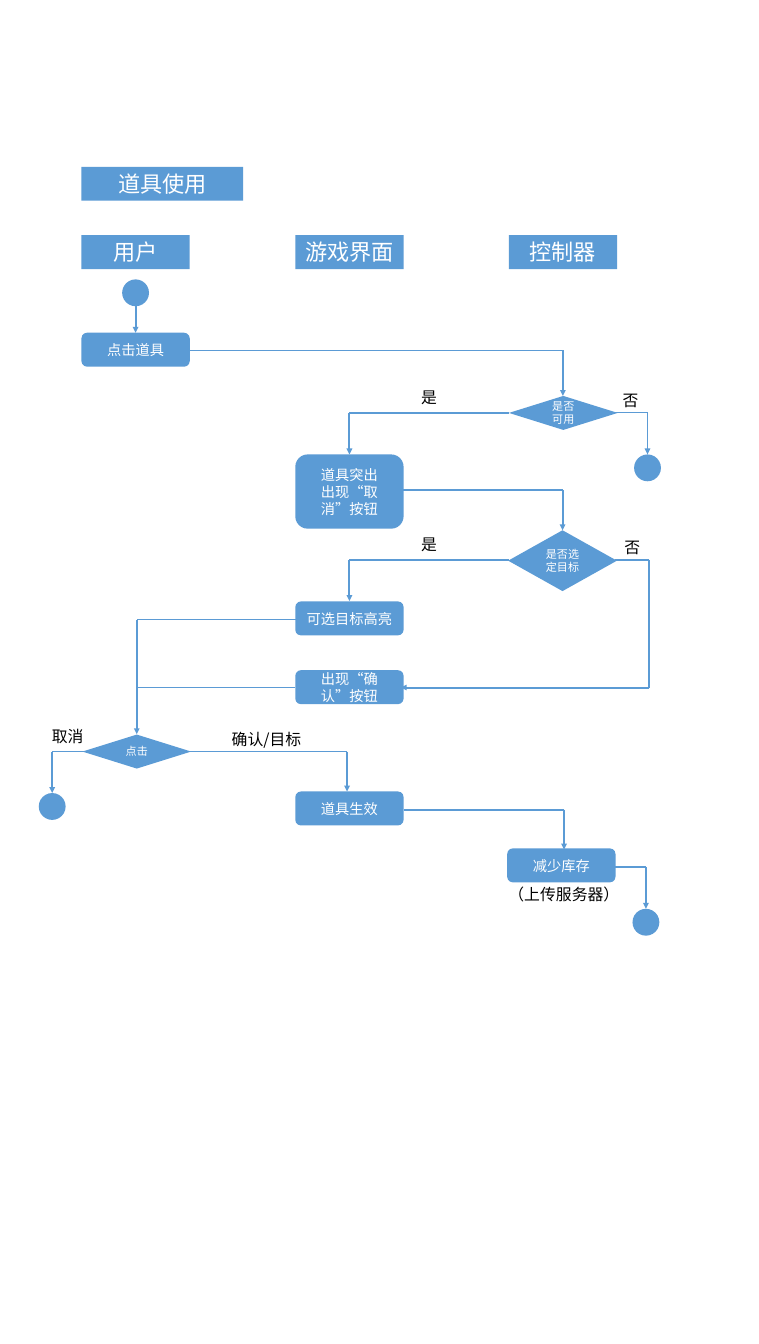
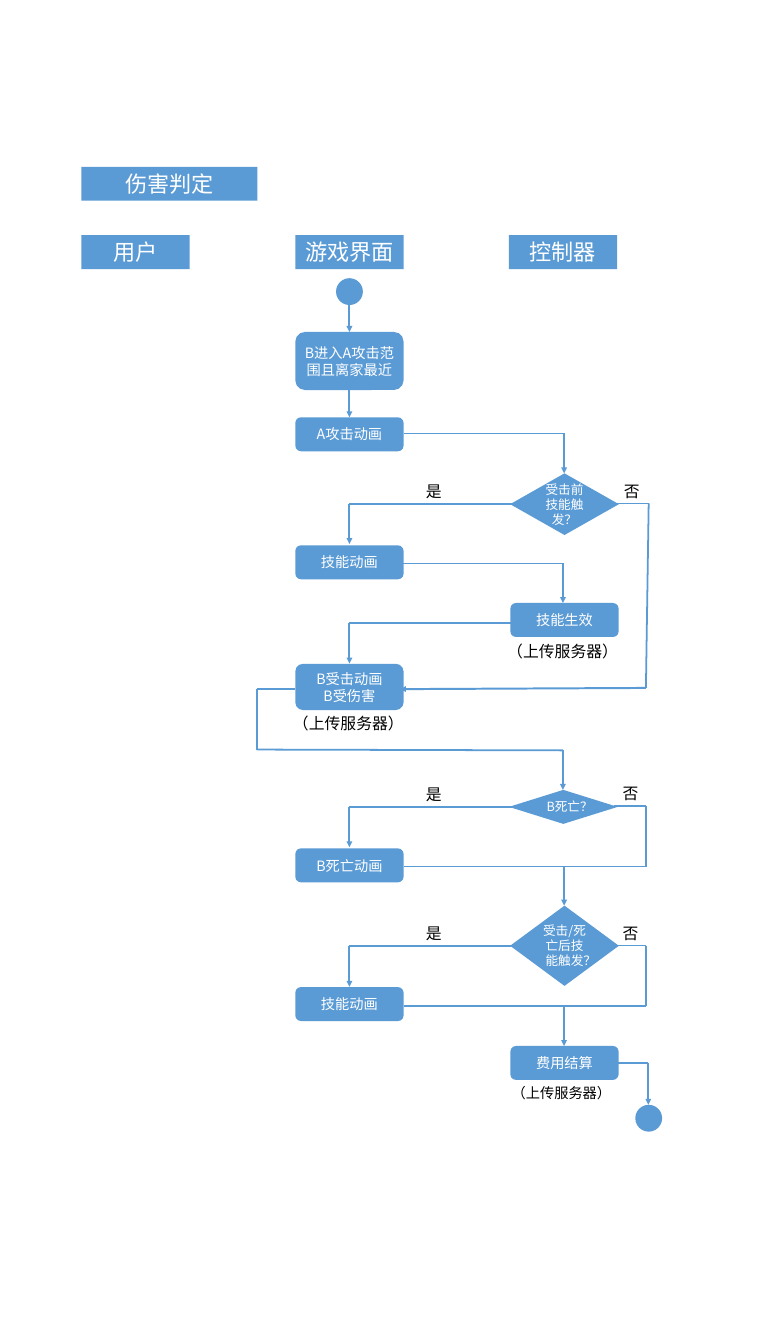
import itertools

import pptx
import pptx.dml.color
import pptx.enum.shapes
import pptx.enum.text
import pptx.oxml.ns
import pptx.util
from lxml import etree

# ---- Shared look (lengths in points) ----
COLORS = {"blue": "5B9BD5", "white": "FFFFFF", "black": "000000"}
FONT = "Noto Sans CJK SC"
SLIDE_W, SLIDE_H = 960, 1700.64
USER, SCREEN, CONTROL = 171.5, 442, 712  # lane centres
LANES = [(USER, "用户"), (SCREEN, "游戏界面"), (CONTROL, "控制器")]
LEFT, TITLE_TOP, LANE_TOP = 103, 211, 297.5
NODE_W, NODE_H, DIAMOND_W, DOT = 137, 43, 137.5, 34
HEAD_SIZE, BOX_SIZE, LABEL_SIZE = 28, 18, 20
LINE_W, ARROW_W = 2.25, 2.5

# ---- Content ----
# dots: centre x, top
# boxes: centre x, top, height, paragraphs
# diamonds: centre x, top, height, paragraphs
# arrows: corner points, with the head at the last one; lines: the same, no head
# labels: left, top, text, size
SLIDES = [
    {
        "title": "道具使用",
        "title_width": 204.5,
        "decision_size": 14,
        "dots": [(USER, 353.5), (819, 575), (66, 1003.5), (817, 1150)],
        "boxes": [
            (USER, 421, NODE_H, ["点击道具"]),
            (SCREEN, 575, 94, ["道具突出", "出现“取消”按钮"]),
            (SCREEN, 761, NODE_H, ["可选目标高亮"]),
            (SCREEN, 848, NODE_H, ["出现“确认”按钮"]),
            (SCREEN, 1001.5, NODE_H, ["道具生效"]),
            (710, 1073.5, NODE_H, ["减少库存"]),
        ],
        "diamonds": [
            (712.5, 501, NODE_H, ["是否", "可用"]),
            (711.5, 671, 77, ["是否选定目标"]),
            (173, 929.5, NODE_H, ["点击"]),
        ],
        "arrows": [
            [(USER, 387.5), (USER, 421)],
            [(240, 443.5), (712, 443.5), (712, 501)],
            [(644, 523), (SCREEN, 523), (SCREEN, 575)],
            [(776, 522), (819, 522), (819, 575)],
            [(508, 620.5), (711.5, 620.5), (711.5, 671)],
            [(644, 709), (SCREEN, 709), (SCREEN, 760.5)],
            [(778, 708.5), (821, 708.5), (821, 870), (507, 870)],
            [(374, 784), (173, 784), (173, 929)],
            [(107, 951), (66, 951), (66, 1003.5)],
            [(238, 951), (439, 951), (439, 1001.5)],
            [(510.5, 1024.5), (713.5, 1024.5), (713.5, 1075)],
            [(775, 1097), (817, 1097), (817, 1150)],
        ],
        "lines": [[(373, 870), (173, 870)]],
        "labels": [
            (525.5, 487.5, "是", LABEL_SIZE),
            (780.5, 490.5, "否", LABEL_SIZE),
            (525.5, 673, "是", LABEL_SIZE),
            (782.5, 677, "否", LABEL_SIZE),
            (58.5, 916.5, "取消", LABEL_SIZE),
            (286, 919.5, "确认/目标", LABEL_SIZE),
            (636, 1116.5, "（上传服务器）", LABEL_SIZE),
        ],
    },
    {
        "title": "伤害判定",
        "title_width": 222.5,
        "decision_size": 16,
        "dots": [(SCREEN, 352), (820.5, 1398)],
        "boxes": [
            (SCREEN, 420, 73.5, ["B进入A攻击范围且离家最近"]),
            (SCREEN, 528, NODE_H, ["A攻击动画"]),
            (SCREEN, 690, NODE_H, ["技能动画"]),
            (714, 763, NODE_H, ["技能生效"]),
            (SCREEN, 840, 58.5, ["B受击动画", "B受伤害"]),
            (SCREEN, 1073.5, NODE_H, ["B死亡动画"]),
            (SCREEN, 1249, NODE_H, ["技能动画"]),
            (714, 1323.5, NODE_H, ["费用结算"]),
        ],
        "diamonds": [
            (714, 599, 78, ["受击前技能触发？"]),
            (712.5, 999.5, NODE_H, ["B死亡？"]),
            (714, 1146, 101.5, ["受击/死亡后技能触发？"]),
        ],
        "arrows": [
            [(SCREEN, 386), (SCREEN, 420)],
            [(SCREEN, 493.5), (SCREEN, 528)],
            [(510.5, 548.5), (713.5, 548.5), (713.5, 599)],
            [(658, 638), (SCREEN, 638), (SCREEN, 688.5)],
            [(509, 713), (712, 713), (712, 763)],
            [(658, 788.5), (SCREEN, 788.5), (SCREEN, 839.5)],
            [(778, 637), (820.5, 637), (817, 870.5), (506, 872)],
            [(373, 872), (325, 872), (325, 948.5), (712, 949.5), (712, 999.5)],
            [(658, 1021.5), (SCREEN, 1021.5), (SCREEN, 1072)],
            [(713.5, 1096.5), (713.5, 1146)],
            [(658, 1197.5), (SCREEN, 1197.5), (SCREEN, 1248.5)],
            [(713.5, 1273), (713.5, 1323.5)],
            [(777.5, 1345), (820, 1345), (820, 1398)],
        ],
        "lines": [
            [(776, 1020), (817.5, 1020), (817.5, 1096.5), (510.5, 1096.5)],
            [(776, 1196.5), (817.5, 1196.5), (817.5, 1273), (510.5, 1273)],
        ],
        "labels": [
            (782, 605.5, "否", LABEL_SIZE),
            (531.5, 605.5, "是", LABEL_SIZE),
            (634.5, 808, "（上传服务器）", LABEL_SIZE),
            (363.5, 899.5, "（上传服务器）", LABEL_SIZE),
            (531.5, 989.5, "是", LABEL_SIZE),
            (780.5, 988, "否", LABEL_SIZE),
            (531.5, 1165, "是", LABEL_SIZE),
            (780.5, 1165, "否", LABEL_SIZE),
            (640, 1368, "（上传服务器）", BOX_SIZE),
        ],
    },
]

Pt = pptx.util.Pt
SHAPE = pptx.enum.shapes.MSO_SHAPE
ALIGN = pptx.enum.text.PP_ALIGN
ANCHOR = pptx.enum.text.MSO_ANCHOR
qn = pptx.oxml.ns.qn


def rgb(name):
    return pptx.dml.color.RGBColor.from_string(COLORS[name])


def write(shape, paragraphs, size, color, align, anchor):
    tf = shape.text_frame
    tf.word_wrap = True
    tf.auto_size = pptx.enum.text.MSO_AUTO_SIZE.NONE
    tf.vertical_anchor = anchor
    for i, text in enumerate(paragraphs):
        p = tf.add_paragraph() if i else tf.paragraphs[0]
        p.alignment = align
        r = p.add_run()
        r.text = text
        r.font.size = Pt(size)
        r.font.name = FONT
        r.font.color.rgb = rgb(color)
        etree.SubElement(r.font._element, qn("a:ea"), typeface=FONT)


def paint(shape, paragraphs=(), size=BOX_SIZE):
    shape.fill.solid()
    shape.fill.fore_color.rgb = rgb("blue")
    shape.line.fill.background()
    write(shape, paragraphs, size, "white", ALIGN.CENTER, ANCHOR.MIDDLE)


def add_node(s, kind, center, top, width, height, paragraphs=(), size=BOX_SIZE):
    sp = s.shapes.add_shape(kind, Pt(center - width / 2), Pt(top), Pt(width), Pt(height))
    sp.shadow.inherit = False
    paint(sp, paragraphs, size)


def add_route(s, points, arrow):
    legs = list(itertools.pairwise(points))
    for i, (start, end) in enumerate(legs, 1):
        head = arrow and i == len(legs)
        line = s.shapes.add_connector(
            pptx.enum.shapes.MSO_CONNECTOR.STRAIGHT, *map(Pt, start + end))
        line.line.color.rgb = rgb("blue")
        line.line.width = Pt(ARROW_W if head else LINE_W)
        if head:
            etree.SubElement(line.line._get_or_add_ln(), qn("a:tailEnd"), type="triangle")
        etree.SubElement(line._element.spPr, qn("a:effectLst"))


def add_label(s, left, top, text, size):
    # an ASCII character takes half the width of a Chinese one
    width = size * sum(0.5 if c.isascii() else 1 for c in text) + 15
    sp = s.shapes.add_textbox(Pt(left), Pt(top), Pt(width), Pt(size * 1.6))
    write(sp, [text], size, "black", ALIGN.LEFT, ANCHOR.TOP)


prs = pptx.Presentation()
prs.slide_width, prs.slide_height = Pt(SLIDE_W), Pt(SLIDE_H)

for flow in SLIDES:
    s = prs.slides.add_slide(prs.slide_layouts[5])

    # Title and lane heads
    title = s.shapes.title
    title.left, title.top = Pt(LEFT), Pt(TITLE_TOP)
    title.width, title.height = Pt(flow["title_width"]), Pt(NODE_H)
    paint(title, [flow["title"]], HEAD_SIZE)
    for center, name in LANES:
        add_node(s, SHAPE.RECTANGLE, center, LANE_TOP, NODE_W, NODE_H, [name], HEAD_SIZE)

    # Steps, decisions, start and end dots
    for center, top in flow["dots"]:
        add_node(s, SHAPE.OVAL, center, top, DOT, DOT)
    for center, top, height, paragraphs in flow["boxes"]:
        add_node(s, SHAPE.ROUNDED_RECTANGLE, center, top, NODE_W, height, paragraphs)
    for center, top, height, paragraphs in flow["diamonds"]:
        add_node(s, SHAPE.FLOWCHART_DECISION, center, top, DIAMOND_W, height,
                 paragraphs, flow["decision_size"])

    # Routes and their labels
    for points in flow["arrows"]:
        add_route(s, points, True)
    for points in flow["lines"]:
        add_route(s, points, False)
    for label in flow["labels"]:
        add_label(s, *label)

prs.save("out.pptx")
